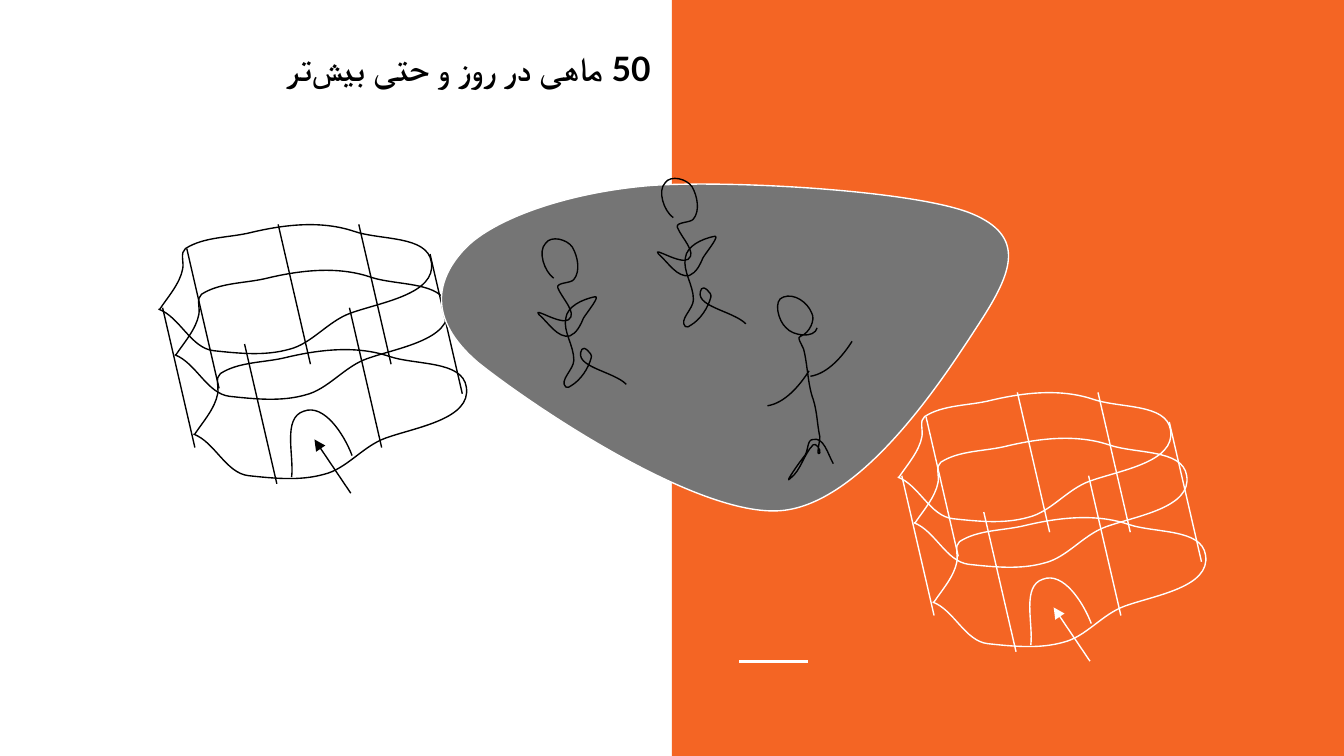
from dataclasses import dataclass

from lxml import etree
from pptx import Presentation
from pptx.dml.color import RGBColor
from pptx.enum.shapes import MSO_CONNECTOR, MSO_SHAPE
from pptx.enum.text import MSO_ANCHOR, PP_ALIGN
from pptx.oxml.ns import qn
from pptx.util import Pt

STRAIGHT = MSO_CONNECTOR.STRAIGHT
RECTANGLE = MSO_SHAPE.RECTANGLE
TOP = MSO_ANCHOR.TOP
RIGHT = PP_ALIGN.RIGHT

GRID = 0.72  # points per drawing unit: the slide is 1000 units wide
SAMPLES = 16  # points taken on each curve to find its bounds
ZWNJ = chr(0x200C)  # zero-width non-joiner, part of Persian spelling


@dataclass(frozen=True)
class Theme:
    black: str = "000000"
    white: str = "FFFFFF"
    orange: str = "F46524"
    grey: str = "757575"
    font: str = "Lato"
    title_size: float = 18
    thin: float = 0.75
    thick: float = 1.5


# Curves: a start point, then two control points and an end point per segment.
RING = [(119, 230), (125, 221), (134, 211), (136, 200),
        (137, 195), (134, 188), (138, 185), (152, 176), (171, 177), (187, 173),
        (212, 167), (239, 164), (263, 172), (283, 179), (318, 175), (321, 195),
        (325, 219), (283, 225), (261, 233), (244, 239), (232, 256), (215, 260),
        (197, 265), (178, 263), (159, 261), (142, 259), (134, 236), (118, 230)]
RING_SHIFTS = [(0, 0), (12, 34), (26, 93)]
DOOR = [(217, 355), (219, 339), (210, 311), (226, 306),
        (241, 300), (256, 323), (262, 339)]
POST_TOPS = [(121, 229), (139, 185), (267, 167), (182, 256),
             (207, 167), (260, 229), (320, 189)]
POST = (24, 104)
ARROW = [(261, 367), (234, 327)]
WHITE_CAGE_SHIFT = (550, 125)

POND = [(729, 240), (705, 277), (643, 375), (581, 380),
        (519, 385), (396, 302), (356, 270), (317, 237), (325, 207), (346, 185),
        (367, 163), (422, 143), (485, 138), (547, 134), (682, 142), (723, 159),
        (764, 176), (753, 203), (729, 240)]
SWIMMER = [(412, 207), (405, 202), (400, 187), (406, 181),
           (410, 175), (422, 178), (426, 184), (430, 191), (432, 202), (427, 208),
           (425, 211), (414, 210), (415, 214), (418, 222), (430, 233), (423, 238),
           (417, 242), (396, 228), (401, 234), (408, 240), (415, 252), (424, 250),
           (429, 248), (432, 242), (434, 237), (437, 232), (448, 219), (442, 221),
           (433, 223), (422, 228), (421, 237), (419, 247), (427, 257), (427, 268),
           (427, 275), (416, 283), (421, 288), (423, 289), (423, 288), (425, 287),
           (432, 283), (438, 274), (440, 266), (441, 263), (434, 257), (433, 260),
           (426, 273), (456, 276), (466, 286)]
SWIMMER_SHIFTS = [(0, 0), (89, -45)]
STANDING_BODY = [(608, 244), (606, 252), (590, 250), (585, 244),
                 (579, 239), (575, 223), (583, 221), (591, 218), (601, 225), (604, 233),
                 (607, 238), (602, 248), (596, 250), (592, 250), (597, 257), (598, 260),
                 (601, 272), (601, 286), (605, 297), (608, 306), (608, 316), (610, 325),
                 (610, 329), (607, 340), (610, 337), (611, 335), (607, 329), (605, 331),
                 (598, 338), (596, 350), (588, 356), (583, 361), (594, 345), (598, 340),
                 (602, 336), (600, 327), (605, 327), (613, 325), (616, 338), (620, 345)]
ARM = [(603, 280), (616, 278), (627, 265), (634, 254)]
ARM_SHIFTS = [(0, 0), (-32, 22)]


def units(n):
    return Pt(n * GRID)


def shifted(points, shift):
    return [(x + shift[0], y + shift[1]) for x, y in points]


def sample(points):
    """Return points lying on the cubic curves, including both ends."""
    result = [points[0]]
    for i in range(0, len(points) - 1, 3):
        segment = points[i:i + 4]
        for step in range(1, SAMPLES + 1):
            t = step / SAMPLES
            weights = ((1 - t) ** 3, 3 * t * (1 - t) ** 2, 3 * t * t * (1 - t), t ** 3)
            result.append(tuple(sum(w * pt[axis] for w, pt in zip(weights, segment))
                                for axis in (0, 1)))
    return result


class Sketch:
    def __init__(self, slide, theme):
        self.s = slide
        self.theme = theme

    def paint_line(self, line, color, width):
        line.color.rgb = RGBColor.from_string(color)
        line.width = Pt(width)

    def panel(self, x, y, w, h, color):
        sp = self.s.shapes.add_shape(RECTANGLE, units(x), units(y), units(w), units(h))
        sp.shadow.inherit = False
        sp.fill.solid()
        sp.fill.fore_color.rgb = RGBColor.from_string(color)
        sp.line.fill.background()

    def line(self, start, end, color, width=None, arrow=False):
        cxn = self.s.shapes.add_connector(STRAIGHT, *map(units, (*start, *end)))
        self.paint_line(cxn.line, color, width or self.theme.thin)
        spPr = cxn._element.spPr
        if arrow:
            etree.SubElement(spPr.find(qn("a:ln")), qn("a:tailEnd"), type="triangle")
        etree.SubElement(spPr, qn("a:effectLst"))

    def curve(self, points, color, fill=None):
        """Draw a freeform sized by its sampled outline, with true Bezier segments."""
        outline = [(units(x), units(y)) for x, y in sample(points)]
        builder = self.s.shapes.build_freeform(*outline[0])
        builder.add_line_segments(outline[1:], close=False)
        sp = builder.convert_to_shape()
        path = sp._element.spPr.find(".//" + qn("a:path"))
        for segment in path.findall(qn("a:lnTo")):
            path.remove(segment)
        for i in range(1, len(points), 3):
            bezier = etree.SubElement(path, qn("a:cubicBezTo"))
            for x, y in points[i:i + 3]:
                etree.SubElement(bezier, qn("a:pt"),
                                 x=str(units(x) - sp.left), y=str(units(y) - sp.top))
        sp.shadow.inherit = False
        if fill:
            etree.SubElement(path, qn("a:close"))
            sp.fill.solid()
            sp.fill.fore_color.rgb = RGBColor.from_string(fill)
        else:
            sp.fill.background()
        self.paint_line(sp.line, color, self.theme.thin)

    def cage(self, color, shift=(0, 0)):
        for top in shifted(POST_TOPS, shift):
            self.line(top, (top[0] + POST[0], top[1] + POST[1]), color)
        for ring_shift in RING_SHIFTS:
            self.curve(shifted(shifted(RING, ring_shift), shift), color)
        self.curve(shifted(DOOR, shift), color)
        self.line(*shifted(ARROW, shift), color, arrow=True)

    def title(self, text, x, y, w, h):
        """Add a right-to-left heading."""
        tf = self.s.shapes.add_textbox(units(x), units(y), units(w), units(h)).text_frame
        tf.word_wrap = True
        tf.vertical_anchor = TOP
        tf.margin_left = tf.margin_right = tf.margin_top = tf.margin_bottom = Pt(7.2)
        p = tf.paragraphs[0]
        p.alignment = RIGHT
        p._p.get_or_add_pPr().set("rtl", "1")
        r = p.add_run()
        r.text = text
        r.font.size = Pt(self.theme.title_size)
        r.font.bold = True
        r.font.color.rgb = RGBColor.from_string(self.theme.black)
        r.font.name = self.theme.font
        for script in ("a:ea", "a:cs"):
            etree.SubElement(r._r.get_or_add_rPr(), qn(script), typeface=self.theme.font)


def main():
    prs = Presentation()
    prs.slide_width, prs.slide_height = Pt(720), Pt(405)
    theme = Theme()
    sketch = Sketch(prs.slides.add_slide(prs.slide_layouts[6]), theme)

    sketch.panel(500, 0, 500, 562.5, theme.orange)
    sketch.line((550, 492), (601, 492), theme.white, theme.thick)
    sketch.cage(theme.black)
    sketch.cage(theme.white, WHITE_CAGE_SHIFT)
    sketch.curve(POND, theme.white, fill=theme.grey)
    for shift in SWIMMER_SHIFTS:
        sketch.curve(shifted(SWIMMER, shift), theme.black)
    sketch.curve(STANDING_BODY, theme.black)
    for shift in ARM_SHIFTS:
        sketch.curve(shifted(ARM, shift), theme.black)
    sketch.title(f"50 ماهی در روز و حتی بیش{ZWNJ}تر", 163, 26, 331, 87)

    prs.save("out.pptx")


if __name__ == "__main__":
    main()
